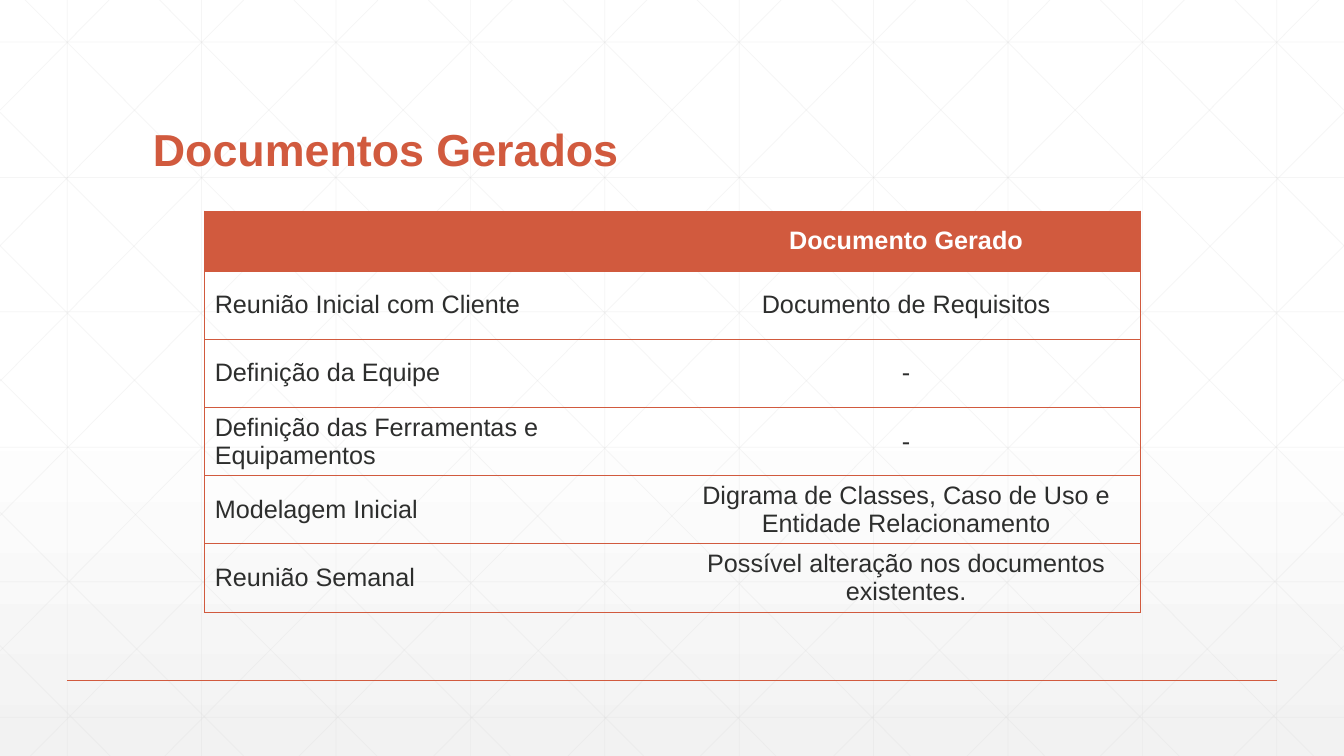
from lxml import etree
from pptx import Presentation
from pptx.dml.color import RGBColor
from pptx.enum.shapes import MSO_CONNECTOR
from pptx.enum.text import MSO_ANCHOR, MSO_AUTO_SIZE, PP_ALIGN
from pptx.oxml.ns import qn
from pptx.util import Pt

PX = 9525
WIDE, HIGH = 1280, 720
STEP = 128
FONT = "Arial"

RUST = RGBColor(0xD1, 0x5A, 0x3E)
INK = RGBColor(0x2D, 0x2E, 0x2D)
WHITE = RGBColor(0xFF, 0xFF, 0xFF)
PALE = RGBColor(0xF2, 0xF2, 0xF2)
GRID = RGBColor(0xD9, 0xD9, 0xD9)

LEFT, MID = PP_ALIGN.LEFT, PP_ALIGN.CENTER
LOW, CENTRE = MSO_ANCHOR.BOTTOM, MSO_ANCHOR.MIDDLE
STRAIGHT = MSO_CONNECTOR.STRAIGHT
NO_FIT = MSO_AUTO_SIZE.NONE
NO_STYLE = "{2D5ABB26-0587-4C30-8999-92F81FD0307C}"

TITLE = "Documentos Gerados"
ROWS = [
    ("", "Documento Gerado"),
    ("Reunião Inicial com Cliente", "Documento de Requisitos"),
    ("Definição da Equipe", "-"),
    ("Definição das Ferramentas e Equipamentos", "-"),
    ("Modelagem Inicial",
     "Digrama de Classes, Caso de Uso e Entidade Relacionamento"),
    ("Reunião Semanal", "Possível alteração nos documentos existentes."),
]


def px(*vals):
    return [round(val) * PX for val in vals]


def put_text(frame, text, size=18, color=INK, bold=False, align=LEFT,
             space=None):
    para = frame.paragraphs[0]
    para.alignment = align
    para.line_spacing = space
    run = para.add_run()
    run.text = text
    font = run.font
    font.name, font.size, font.bold = FONT, Pt(size), bold
    font.color.rgb = color


def add_line(slide, x1, y1, x2, y2, color=GRID, width=0.5, alpha=None):
    line = slide.shapes.add_connector(STRAIGHT, *px(x1, y1, x2, y2))
    line.line.color.rgb = color
    line.line.width = Pt(width)
    props = line.element.spPr
    etree.SubElement(props, qn("a:effectLst"))
    if alpha:
        tint = next(props.iter(qn("a:srgbClr")))
        etree.SubElement(tint, qn("a:alpha"), val=str(alpha * 1000))


def add_grid(slide):
    """Draw the faint lattice of upright, level and slanted lines."""
    lines = [(x, 0, x, HIGH) for x in range(64, WIDE, STEP)]
    for i in range(6):
        y = 40 + 128.6 * i
        lines.append((0, y, WIDE, y))
    slants = []
    for x in range(24, WIDE, STEP):
        run = min(715, WIDE - x)
        slants.append((x, 0, x + run, run * HIGH / 715))
    slants += [(0, y, HIGH - y, HIGH) for y in range(107, HIGH - 64, 127)]
    for x1, y1, x2, y2 in slants:
        lines += [(x1, y1, x2, y2), (WIDE - x1, y1, WIDE - x2, y2)]
    for ends in lines:
        add_line(slide, *ends, alpha=25)


def set_back(slide):
    fill = slide.background.fill
    fill.gradient()
    fill.gradient_angle = 270
    for stop, color, pos in zip(fill.gradient_stops, (WHITE, PALE), (0.53, 1)):
        stop.color.rgb = color
        stop.position = pos


def set_title(slide):
    title = slide.shapes.title
    title.left, title.top, title.width, title.height = px(136, 53, 1008, 120)
    frame = title.text_frame
    frame.auto_size = NO_FIT
    frame.word_wrap = True
    frame.vertical_anchor = LOW
    put_text(frame, TITLE, size=32, color=RUST, bold=True, space=0.9)
    title.element.getparent().append(title.element)  # above the lattice


def set_edges(cell, sides):
    """Rule the named sides (L, R, T, B) and clear the others."""
    props = cell._tc.get_or_add_tcPr()
    for i, side in enumerate("LRTB"):
        edge = etree.Element(qn("a:ln" + side), w=str(Pt(0.5)))
        if side in sides:
            fill = etree.SubElement(edge, qn("a:solidFill"))
            etree.SubElement(fill, qn("a:srgbClr"), val=str(RUST))
        else:
            etree.SubElement(edge, qn("a:noFill"))
        props.insert(i, edge)


def add_table(slide):
    frame = slide.shapes.add_table(len(ROWS), 2, *px(195, 201, 891, 382))
    next(frame.element.iter(qn("a:tableStyleId"))).text = NO_STYLE
    table = frame.table
    table.horz_banding = False
    for col, wide in zip(table.columns, px(445, 446)):
        col.width = wide
    for r, row in enumerate(ROWS):
        head = r == 0
        table.rows[r].height = px(57 if head else 65)[0]
        for c, text in enumerate(row):
            cell = table.cell(r, c)
            cell.vertical_anchor = CENTRE
            if head:
                cell.fill.solid()
                cell.fill.fore_color.rgb = RUST
            else:
                cell.fill.background()
            set_edges(cell, "TB" + "LR"[c])
            if text:
                put_text(cell.text_frame, text, bold=head,
                         color=WHITE if head else INK,
                         align=MID if c else LEFT)


def main():
    deck = Presentation()
    deck.slide_width, deck.slide_height = px(WIDE, HIGH)
    slide = deck.slides.add_slide(deck.slide_layouts.get_by_name("Title Only"))
    set_back(slide)
    add_grid(slide)
    add_line(slide, 64, 648, 1216, 648, color=RUST, width=1)
    set_title(slide)
    add_table(slide)
    deck.save("out.pptx")


if __name__ == "__main__":
    main()
